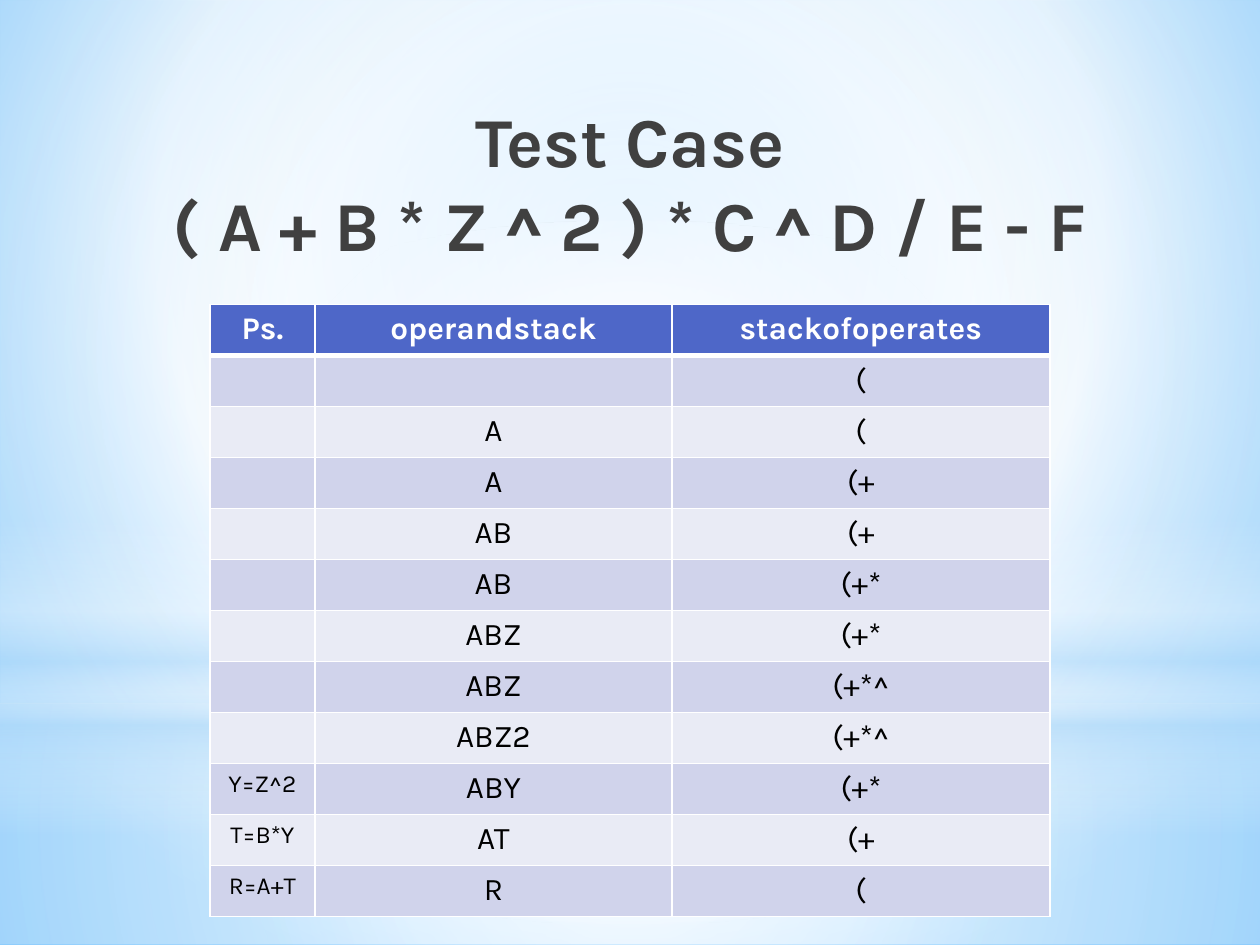
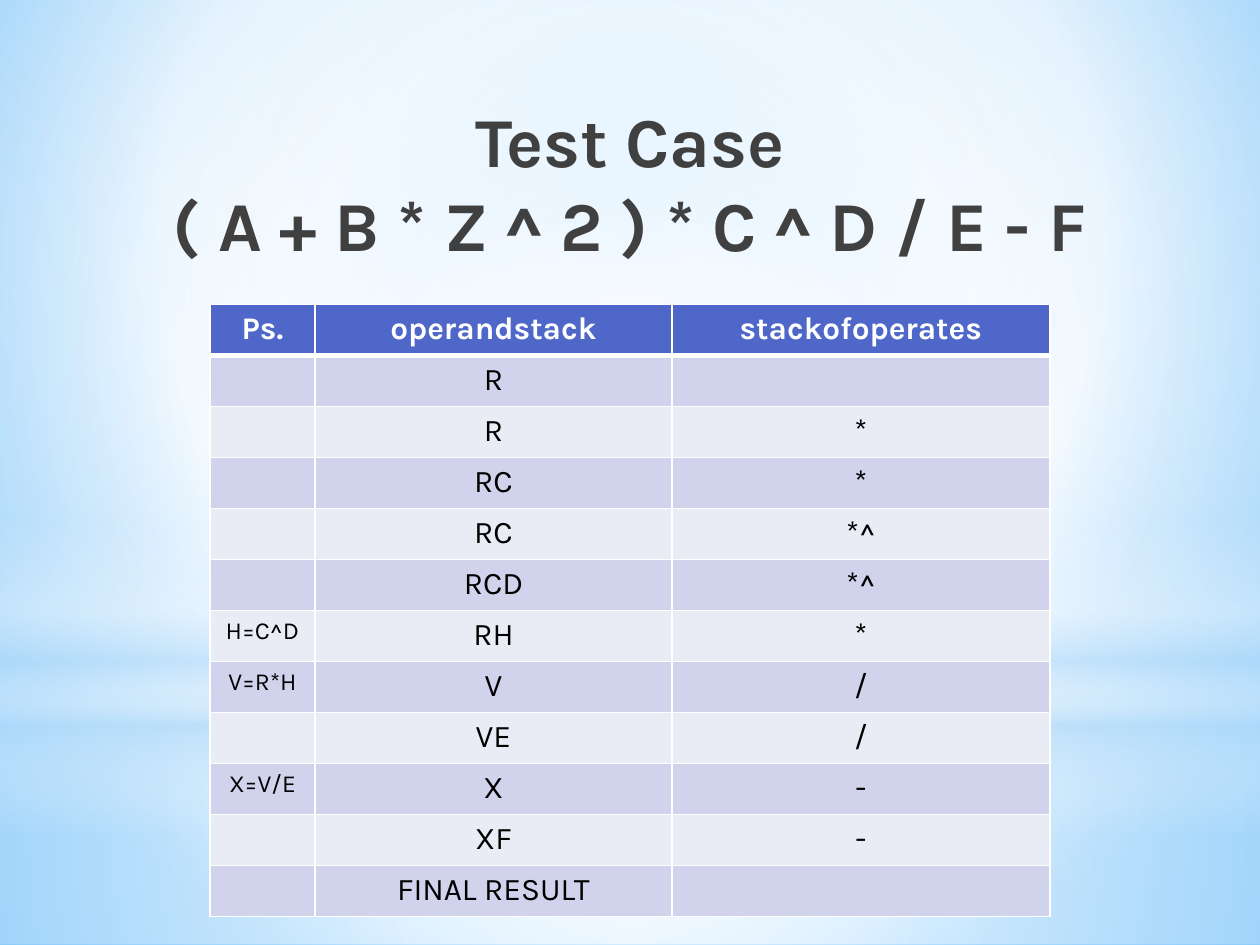
"""Builds two slides that trace an infix expression through its two stacks."""
from pptx import Presentation
from pptx.dml.color import RGBColor
from pptx.enum.shapes import MSO_SHAPE
from pptx.enum.text import MSO_ANCHOR, PP_ALIGN
from pptx.oxml import parse_xml
from pptx.oxml.ns import nsdecls, qn
from pptx.util import Inches, Pt

COLUMNS, ROWS = 60, 45
TABLE_COLUMNS = [5, 17, 18]
TABLE_ROW = 2.43
FONT = "Karla"
WHITE, BLACK, TITLE, HEADER = "FFFFFF", "000000", "404040", "4E67C8"
BANDS = ["D0D3EB", "E9EBF5"]
SKY = "B4DCFA"

CENTRED = '<a:path path="circle"><a:fillToRect l="50000" t="50000" r="50000" b="50000"/></a:path>'
HIGH = '<a:path path="circle"><a:fillToRect l="20000" t="10000" r="20000" b="60000"/></a:path>'
DOWNWARD = '<a:lin ang="5400000" scaled="0"/>'

BACKGROUND = [(0, "9ED5FF", 100), (60, WHITE, 100), (100, "5BB9FF", 100)]
BACKDROP = [
    (MSO_SHAPE.RECTANGLE, 33.5, 11.5, CENTRED,
     [(0, WHITE, 91), (37, WHITE, 76), (100, SKY, 79)]),
    (MSO_SHAPE.RECTANGLE, 0, 33.5, CENTRED,
     [(0, WHITE, 89), (48, WHITE, 62), (100, SKY, 79)]),
    (MSO_SHAPE.RECTANGLE, 24.75, 15, DOWNWARD,
     [(0, WHITE, 0), (29, WHITE, 30), (45, SKY, 40),
      (55, WHITE, 26), (65, SKY, 60), (100, WHITE, 0)]),
    (MSO_SHAPE.OVAL, 10.5, 33.5, CENTRED,
     [(0, WHITE, 100), (56, WHITE, 0)]),
]

HEADINGS = ("Ps.", "operandstack", "stackofoperates")
TRACES = [
    [("", "", "("), ("", "A", "("), ("", "A", "(+"), ("", "AB", "(+"),
     ("", "AB", "(+*"), ("", "ABZ", "(+*"), ("", "ABZ", "(+*^"),
     ("", "ABZ2", "(+*^"), ("Y=Z^2", "ABY", "(+*"), ("T=B*Y", "AT", "(+"),
     ("R=A+T", "R", "(")],
    [("", "R", ""), ("", "R", "*"), ("", "RC", "*"), ("", "RC", "*^"),
     ("", "RCD", "*^"), ("H=C^D", "RH", "*"), ("V=R*H", "V", "/"),
     ("", "VE", "/"), ("X=V/E", "X", "-"), ("", "XF", "-"),
     ("", "FINAL RESULT", "")],
]


def color(value):
    """Return the colour for a hex string."""
    return RGBColor.from_string(value)


def apply_gradient(element, stops, direction):
    """Put a gradient in place of the first solid fill of an element."""
    marks = "".join(
        f'<a:gs pos="{place * 1000}"><a:srgbClr val="{value}">'
        f'<a:alpha val="{opacity * 1000}"/></a:srgbClr></a:gs>'
        for place, value, opacity in stops)
    solid = next(element.iter(qn("a:solidFill")))
    solid.getparent().replace(solid, parse_xml(
        f'<a:gradFill {nsdecls("a")} rotWithShape="1">'
        f'<a:gsLst>{marks}</a:gsLst>{direction}</a:gradFill>'))


class TraceDeck:
    """Holds the shared style and the current slide."""

    def __init__(self):
        """Start the deck and paint the shared background."""
        self.deck = Presentation()
        self.deck.slide_width, self.deck.slide_height = Inches(10), Inches(7.5)
        master = self.deck.slide_master
        master.background.fill.solid()
        apply_gradient(master._element, BACKGROUND, HIGH)

    def across(self, columns):
        """Return the length of a number of grid columns."""
        return round(self.deck.slide_width * columns / COLUMNS)

    def down(self, rows):
        """Return the length of a number of grid rows."""
        return round(self.deck.slide_height * rows / ROWS)

    def area(self, left, top, width, height):
        """Return a grid area as lengths."""
        return self.across(left), self.down(top), self.across(width), self.down(height)

    def new_page(self):
        """Add a blank slide with its backdrop."""
        self.page = self.deck.slides.add_slide(self.deck.slide_layouts[6])
        for kind, top, height, direction, stops in BACKDROP:
            self.glow(kind, top, height, direction, stops)

    def glow(self, kind, top, height, direction, stops):
        """Add a full-width shape with a translucent gradient."""
        shape = self.page.shapes.add_shape(kind, *self.area(0, top, COLUMNS, height))
        shape.shadow.inherit = False
        shape.line.fill.background()
        shape.fill.solid()
        apply_gradient(shape._element, stops, direction)

    def style(self, frame, size, value, bold):
        """Centre the text of a frame and format its runs."""
        for para in frame.paragraphs:
            para.alignment = PP_ALIGN.CENTER
            for span in para.runs:
                span.font.name = FONT
                span.font.size = Pt(size)
                span.font.bold = bold
                span.font.color.rgb = color(value)

    def title(self, *lines):
        """Add the title lines."""
        box = self.page.shapes.add_textbox(*self.area(0, 4.5, COLUMNS, 8.25))
        frame = box.text_frame
        frame.word_wrap = True
        frame.vertical_anchor = MSO_ANCHOR.MIDDLE
        frame.text = "\n".join(lines)
        self.style(frame, 40, TITLE, True)

    def borders(self, cell, row):
        """Draw white cell borders, thicker under the header."""
        properties = cell._tc.get_or_add_tcPr()
        for side in "LRTB":
            points = 3 if (row, side) in [(0, "B"), (1, "T")] else 1
            properties.append(parse_xml(
                f'<a:ln{side} {nsdecls("a")} w="{Pt(points)}"><a:solidFill>'
                f'<a:srgbClr val="{WHITE}"/></a:solidFill></a:ln{side}>'))

    def trace_table(self, steps):
        """Add the table of stack states."""
        records = [HEADINGS, *steps]
        place = self.area(10, 14.5, sum(TABLE_COLUMNS), TABLE_ROW * len(records))
        table = self.page.shapes.add_table(len(records), len(HEADINGS), *place).table
        for column, width in zip(table.columns, TABLE_COLUMNS):
            column.width = self.across(width)
        for row, record in enumerate(records):
            table.rows[row].height = self.down(TABLE_ROW)
            header = row == 0
            for column, text in enumerate(record):
                cell = table.cell(row, column)
                self.borders(cell, row)
                cell.fill.solid()
                cell.fill.fore_color.rgb = color(HEADER if header else BANDS[(row - 1) % 2])
                cell.text_frame.text = text
                size = 18 if header or column else 14
                self.style(cell.text_frame, size, WHITE if header else BLACK, header)


def main():
    """Build and save the slides."""
    builder = TraceDeck()
    for steps in TRACES:
        builder.new_page()
        builder.title("Test Case", "( A + B * Z ^ 2 ) * C ^ D / E - F")
        builder.trace_table(steps)
    builder.deck.save("out.pptx")


if __name__ == "__main__":
    main()
